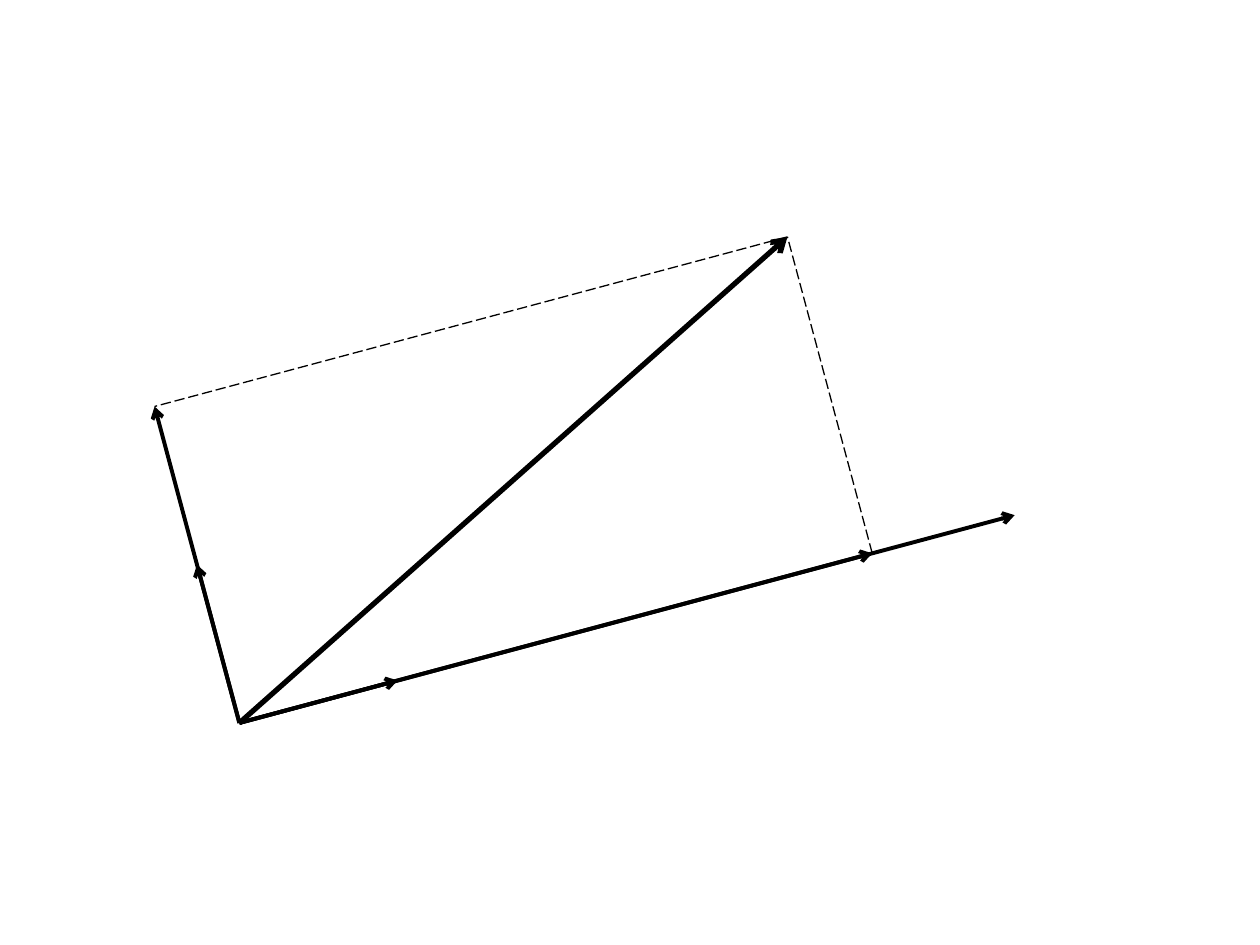
from dataclasses import dataclass
from math import cos, radians, sin

from pptx import Presentation
from pptx.dml.color import RGBColor
from pptx.enum.dml import MSO_LINE_DASH_STYLE as Dash
from pptx.enum.shapes import MSO_CONNECTOR_TYPE as Connector
from pptx.oxml.ns import qn
from pptx.util import Inches, Pt
from lxml.etree import SubElement


@dataclass(frozen=True)
class Theme:
    ink: RGBColor = RGBColor(0, 0, 0)
    guide: float = 0.75
    component: float = 2.25
    resultant: float = 3


class VectorDiagram:
    """Draws vectors on a tilted grid whose cell is a share of the slide width."""

    def __init__(self, presentation, theme, origin, cell, tilt):
        self.theme = theme
        self.slide = presentation.slides.add_slide(presentation.slide_layouts[6])
        self.group = self.slide.shapes.add_group_shape()
        self.left = origin[0] * presentation.slide_width
        self.top = origin[1] * presentation.slide_height
        self.cell = cell * presentation.slide_width
        self.angle = radians(tilt)

    def place(self, column, row):
        across = column * cos(self.angle) - row * sin(self.angle)
        up = column * sin(self.angle) + row * cos(self.angle)
        return round(self.left + across * self.cell), round(self.top - up * self.cell)

    def line(self, start, end, **formats):
        connector = self.group.shapes.add_connector(
            Connector.STRAIGHT, *self.place(*start), *self.place(*end))
        connector.line.color.rgb = self.theme.ink
        for name, value in formats.items():
            setattr(connector.line, name, value)
        SubElement(connector.element.spPr, qn("a:effectLst"))
        return connector

    def guide(self, start, end):
        self.line(start, end, width=Pt(self.theme.guide), dash_style=Dash.LONG_DASH)

    def vector(self, end, weight):
        connector = self.line((0, 0), end, width=Pt(weight))
        SubElement(connector.get_or_add_ln(), qn("a:tailEnd"), type="arrow")


def main():
    presentation = Presentation()
    presentation.slide_width, presentation.slide_height = Inches(10), Inches(7.5)
    theme = Theme()
    diagram = VectorDiagram(presentation, theme, origin=(0.19, 0.765), cell=0.13, tilt=15)

    axis_end, unit_x, unit_y = (4.9, 0), (1, 0), (0, 1)
    part_x, part_y, total = (4, 0), (0, 2), (4, 2)
    for end in (axis_end, part_y, unit_y, part_x, unit_x):
        diagram.vector(end, theme.component)
    diagram.guide(part_x, total)
    diagram.guide(total, part_y)
    diagram.vector(total, theme.resultant)

    presentation.save("out.pptx")


if __name__ == "__main__":
    main()
